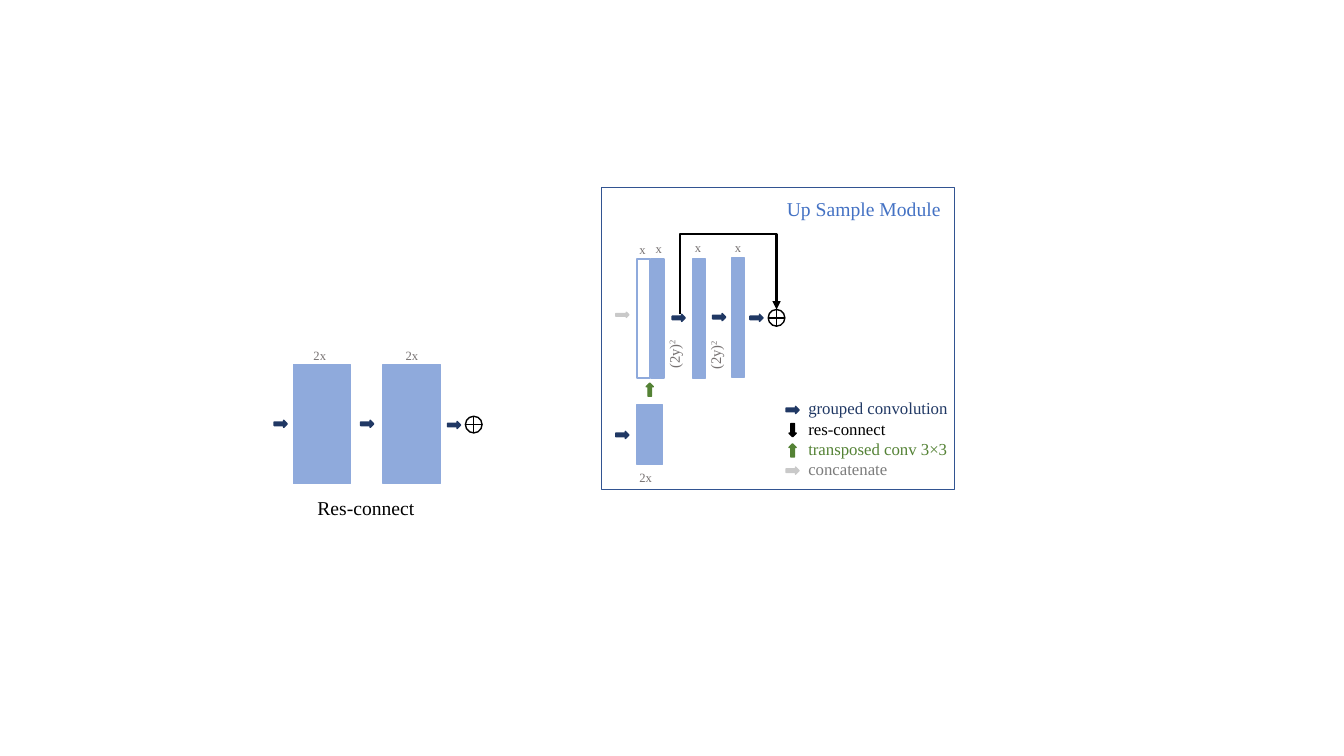
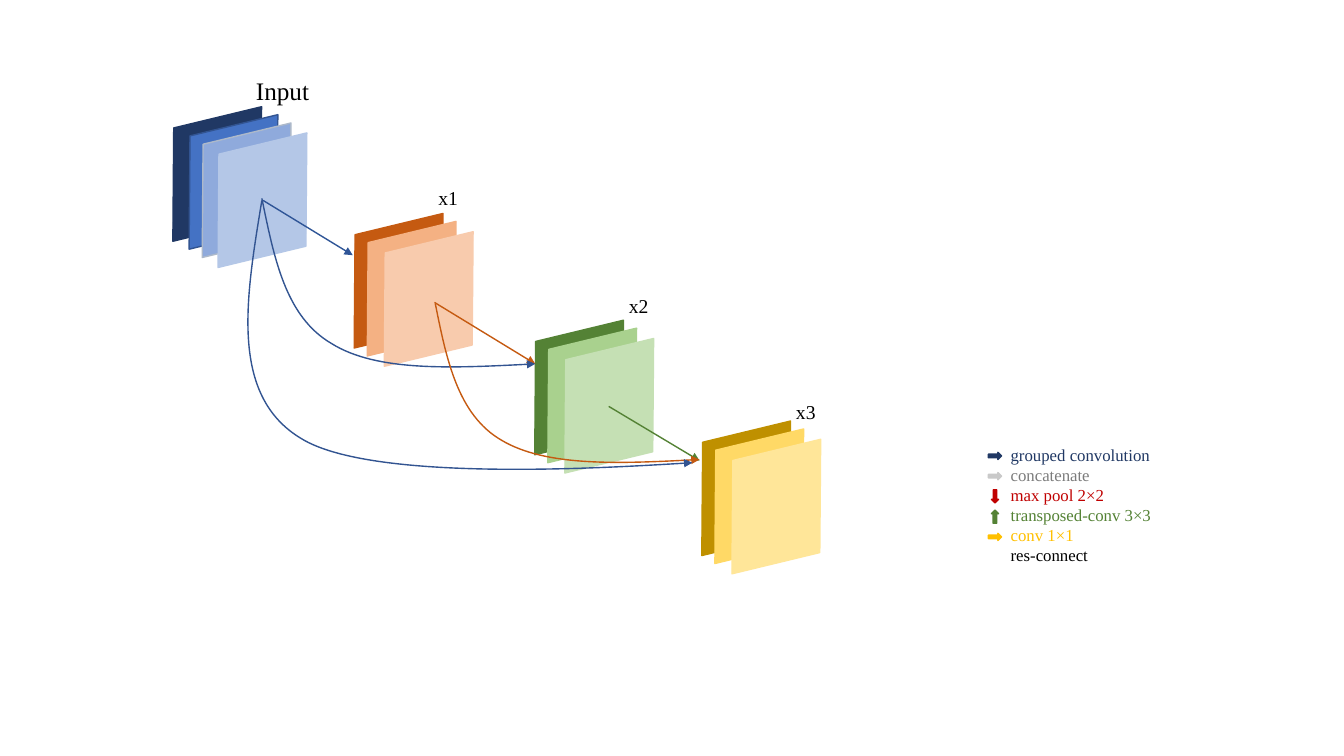
import pptx
import pptx.dml.color
import pptx.enum.shapes
import pptx.enum.text
import pptx.oxml
import pptx.oxml.ns
import pptx.util

Cm = pptx.util.Cm
SHAPES = pptx.enum.shapes.MSO_SHAPE
CONNECTORS = pptx.enum.shapes.MSO_CONNECTOR
CENTER = pptx.enum.text.PP_ALIGN.CENTER

NAVY, OUTLINE, BLUE, LIGHT_BLUE = "203864", "325491", "4472C4", "8FAADC"
GREEN, ORANGE, RED, GOLD = "548235", "C55A11", "C00000", "FFC000"
BLACK, WHITE, GRAY, LABEL_GRAY, ARROW_GRAY = "000000", "FFFFFF", "7C7C7C", "767171", "C9C9C9"


def rgb(value):
    return pptx.dml.color.RGBColor.from_string(value)


def write(paragraph, text, size=9, color=LABEL_GRAY, superscript=False):
    run = paragraph.add_run()
    run.text = text
    run.font.name = "Times New Roman"
    run.font.size = pptx.util.Pt(size)
    run.font.color.rgb = rgb(color)
    if superscript:
        run._r.get_or_add_rPr().set("baseline", "30000")


class Diagram:
    """Hold the presentation style and draw elements on the current slide."""

    row_pitch = 0.51
    arrow_width, arrow_height = 0.33, 0.18
    node_size = 0.42
    feature_width, feature_height, feature_rotation = 2.97, 2.77, 346.4

    def __init__(self):
        self.presentation = pptx.Presentation()
        self.presentation.slide_width = Cm(33.87)
        self.presentation.slide_height = Cm(19.05)
        self.slide = None

    def new_slide(self):
        self.slide = self.presentation.slides.add_slide(self.presentation.slide_layouts[6])

    def style_line(self, shape, color, width=1, arrow=False):
        shape.line.color.rgb = rgb(color)
        shape.line.width = pptx.util.Pt(width)
        if arrow:
            tail = pptx.oxml.ns.qn("a:tailEnd")
            shape.line._get_or_add_ln().makeelement(tail)
            end = shape.line._get_or_add_ln().makeelement(tail, {"type": "triangle"})
            shape.line._get_or_add_ln().append(end)

    def shape(self, kind, left, top, width, height, fill=None, line=None, rotation=0):
        shape = self.slide.shapes.add_shape(kind, Cm(left), Cm(top), Cm(width), Cm(height))
        shape.shadow.inherit = False
        shape.rotation = rotation
        if fill:
            shape.fill.solid()
            shape.fill.fore_color.rgb = rgb(fill)
        else:
            shape.fill.background()
        self.style_line(shape, line or fill)
        return shape

    def block(self, left, top, width, height, fill=LIGHT_BLUE, line=LIGHT_BLUE):
        return self.shape(SHAPES.RECTANGLE, left, top, width, height, fill, line)

    def arrow(self, left, top, color=NAVY, rotation=0, height=arrow_height):
        self.shape(SHAPES.RIGHT_ARROW, left, top, self.arrow_width, height, color, rotation=rotation)

    def connector(self, start, end, color, width=1, arrow=False, kind=CONNECTORS.STRAIGHT):
        connector = self.slide.shapes.add_connector(kind, *map(Cm, start + end))
        properties = connector._element.spPr
        self.style_line(connector, color, width, arrow)
        properties.append(properties.makeelement(pptx.oxml.ns.qn("a:effectLst")))
        return connector

    def skip_connector(self, start, end, peak):
        connector = self.connector(start, end, BLACK, 1.5, True, CONNECTORS.ELBOW)
        geometry = connector._element.spPr.find(pptx.oxml.ns.qn("a:prstGeom"))
        geometry.set("prst", "bentConnector4")
        guides = geometry.get_or_add_avLst()
        rise = round(100000 * (start[1] - peak) / (start[1] - end[1]))
        for name, value in (("adj1", 0), ("adj2", rise)):
            attributes = {"name": name, "fmla": f"val {value}"}
            guides.append(guides.makeelement(pptx.oxml.ns.qn("a:gd"), attributes))

    def curve(self, points, color):
        corners = [(Cm(x), Cm(y)) for x, y in points]
        builder = self.slide.shapes.build_freeform(*corners[0])
        builder.add_line_segments(corners[1:], close=False)
        shape = builder.convert_to_shape()
        shape.shadow.inherit = False
        shape.fill.background()
        self.style_line(shape, color, arrow=True)
        segments = shape._element.xpath(".//a:lnTo")
        for index in range(0, len(segments), 3):
            group = segments[index:index + 3]
            bezier = group[0].makeelement(pptx.oxml.ns.qn("a:cubicBezTo"))
            group[0].addprevious(bezier)
            for segment in group:
                bezier.append(segment[0])
                segment.getparent().remove(segment)

    def text_frame(self, left, top, width, height, wrap=False):
        box = self.slide.shapes.add_textbox(Cm(left), Cm(top), Cm(width), Cm(height))
        box.text_frame.word_wrap = wrap
        return box.text_frame

    def title(self, text, left, top, width, height=0.86, size=14, color=BLACK):
        frame = self.text_frame(left, top, width, height)
        write(frame.paragraphs[0], text, size=size, color=color)

    def channel_label(self, text, center, top):
        width = 0.99
        frame = self.text_frame(center - width / 2, top, width, 0.64, wrap=True)
        frame.paragraphs[0].alignment = CENTER
        write(frame.paragraphs[0], text)

    def size_label(self, left, top):
        frame = self.text_frame(left, top, 0.97, 1.26, wrap=True)
        frame._txBody.bodyPr.set("vert", "vert270")
        write(frame.paragraphs[0], "(2y)", size=10.5)
        write(frame.paragraphs[0], "2", size=10.5, superscript=True)

    def sum_node(self, left, top):
        size = self.node_size
        middle_x, middle_y = left + size / 2, top + size / 2
        self.shape(SHAPES.OVAL, left, top, size, size, WHITE, BLACK)
        self.connector((left, middle_y), (left + size, middle_y), BLACK)
        self.connector((middle_x, top), (middle_x, top + size), BLACK)

    def feature_stack(self, left, top, layers):
        for shift_x, shift_y, fill, line in layers:
            self.shape(SHAPES.PARALLELOGRAM, left + shift_x, top + shift_y, self.feature_width,
                       self.feature_height, fill, line, self.feature_rotation)

    def legend(self, left, top, width, rows):
        frame = self.text_frame(left, top, width, len(rows) * self.row_pitch + 0.27)
        for index, (text, color, arrow_color, rotation) in enumerate(rows):
            paragraph = frame.add_paragraph() if index else frame.paragraphs[0]
            write(paragraph, text, size=12, color=color)
            if arrow_color:
                self.arrow(left - 0.31, top + 0.33 + index * self.row_pitch, arrow_color, rotation)


def draw_modules(diagram):
    diagram.new_slide()
    diagram.block(15.16, 4.72, 8.89, 7.62, None, OUTLINE)
    diagram.title("Up Sample Module", 19.58, 4.83, 4.42, color=BLUE)
    diagram.title("Res-connect", 7.75, 12.37, 3.23)

    tall = 3
    diagram.block(16.05, 10.19, 0.64, 1.52)
    for left, top, width in ((16.41, 6.53, 0.33), (17.45, 6.53, 0.33), (18.44, 6.5, 0.33),
                             (7.39, 9.19, 1.45), (9.65, 9.19, 1.45)):
        diagram.block(left, top, width, tall)
    diagram.block(16.05, 6.53, 0.33, tall, None)

    for left, top in ((15.52, 10.87), (16.94, 7.92), (17.96, 7.9), (18.9, 7.92),
                      (6.91, 10.59), (9.09, 10.59), (11.28, 10.62)):
        diagram.arrow(left, top)
    diagram.arrow(16.21, 9.73, GREEN, 270)
    diagram.arrow(15.52, 7.87, ARROW_GRAY, height=0.13)

    for text, center, top in (("x", 16.19, 5.97), ("x", 16.6, 5.94), ("x", 17.59, 5.92),
                              ("x", 18.6, 5.92), ("2x", 16.27, 11.71),
                              ("2x", 8.06, 8.64), ("2x", 10.38, 8.64)):
        diagram.channel_label(text, center, top)
    diagram.size_label(16.64, 8.28)
    diagram.size_label(17.68, 8.31)

    diagram.skip_connector((17.14, 7.92), (19.57, 7.8), 5.89)
    diagram.sum_node(11.73, 10.49)
    diagram.sum_node(19.36, 7.8)
    diagram.legend(20.12, 9.91, 4.09, (
        ("grouped convolution", NAVY, NAVY, 0),
        ("res-connect", BLACK, BLACK, 90),
        ("transposed conv 3×3", GREEN, GREEN, 270),
        ("concatenate", GRAY, ARROW_GRAY, 0),
    ))


def draw_dense_links(diagram):
    diagram.new_slide()
    diagram.feature_stack(3.99, 3, (
        (0, 0, NAVY, NAVY), (0.41, 0.2, BLUE, OUTLINE),
        (0.74, 0.41, LIGHT_BLUE, "ADB9CA"), (1.14, 0.66, "B4C7E7", "B4C7E7"),
    ))
    shifts = ((0, 0), (0.33, 0.2), (0.76, 0.46))
    for left, top, colors in ((8.56, 5.69, (ORANGE, "F4B183", "F8CBAD")),
                              (13.11, 8.38, (GREEN, "A9D18E", "C5E0B4")),
                              (17.32, 10.92, ("BF9000", "FFD966", "FFE699"))):
        diagram.feature_stack(left, top, [(*shift, color, color)
                                          for shift, color in zip(shifts, colors)])

    diagram.connector((6.63, 5.05), (8.89, 6.43), "2F5597", arrow=True)
    diagram.connector((10.95, 7.62), (13.49, 9.17), ORANGE, arrow=True)
    diagram.connector((15.34, 10.24), (17.63, 11.61), GREEN, arrow=True)
    diagram.curve(((6.6, 5), (6.91, 6.5), (7.19, 7.98), (8.36, 8.66),
                   (9.5, 9.37), (11.51, 9.27), (13.49, 9.17)), OUTLINE)
    diagram.curve(((10.97, 7.65), (11.25, 9.04), (11.53, 10.46), (12.65, 11.1),
                   (13.77, 11.76), (15.7, 11.68), (17.63, 11.58)), ORANGE)
    diagram.curve(((6.6, 5.05), (6.2, 7.49), (5.77, 9.96), (7.59, 11.05),
                   (9.4, 12.17), (15.77, 11.76), (17.45, 11.66)), OUTLINE)

    diagram.title("Input", 6.2, 1.78, 1.85, 1.02, size=18)
    for text, left, top in (("x1", 10.8, 4.57), ("x2", 15.6, 7.29), ("x3", 19.81, 9.96)):
        diagram.title(text, left, top, 1.02)
    diagram.legend(25.22, 11.07, 4.14, (
        ("grouped convolution", NAVY, NAVY, 0),
        ("concatenate", GRAY, ARROW_GRAY, 0),
        ("max pool 2×2", RED, RED, 90),
        ("transposed-conv 3×3", GREEN, GREEN, 270),
        ("conv 1×1", GOLD, GOLD, 0),
        ("res-connect", BLACK, None, 0),
    ))


def main():
    diagram = Diagram()
    draw_modules(diagram)
    draw_dense_links(diagram)
    diagram.presentation.save("out.pptx")


if __name__ == "__main__":
    main()
